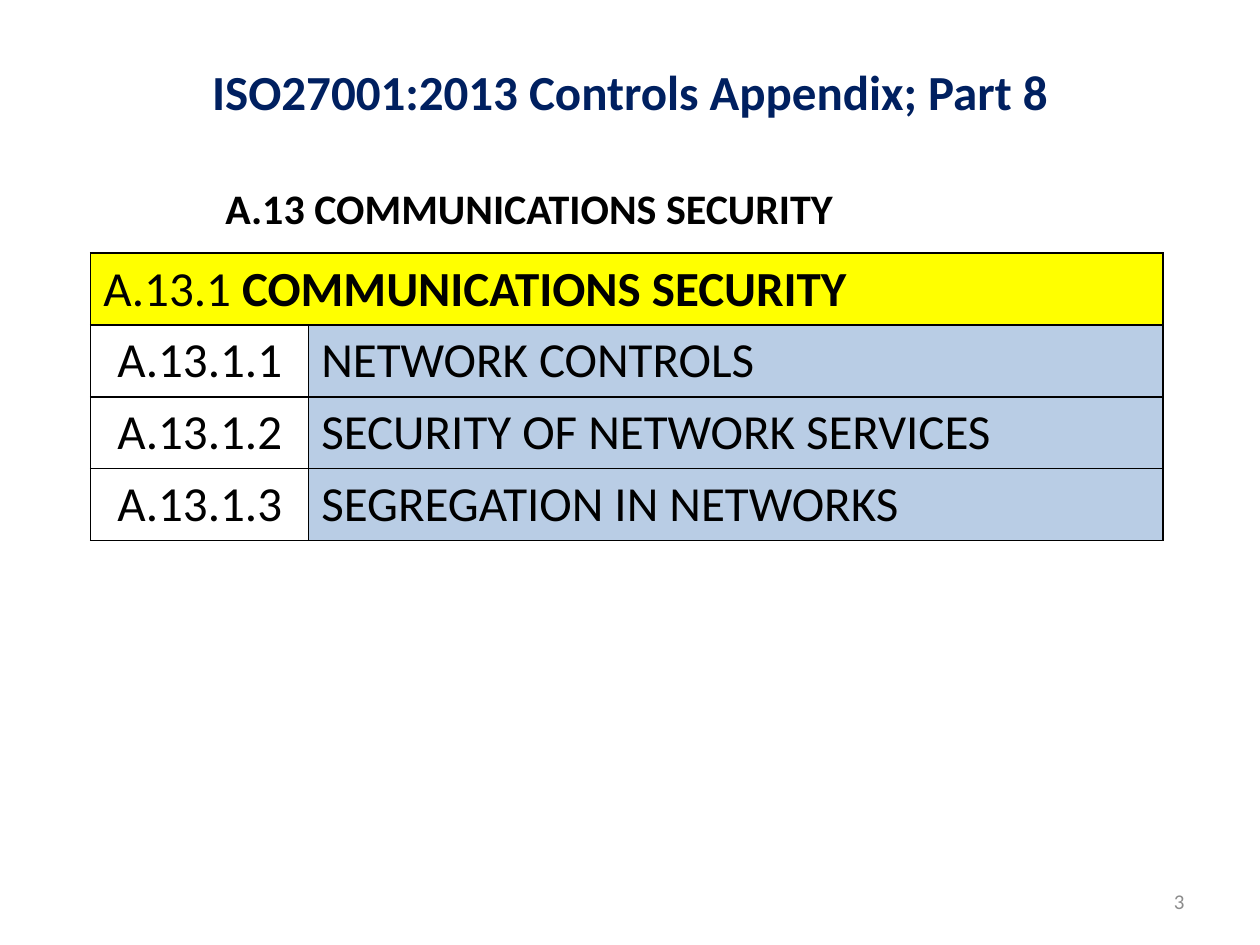
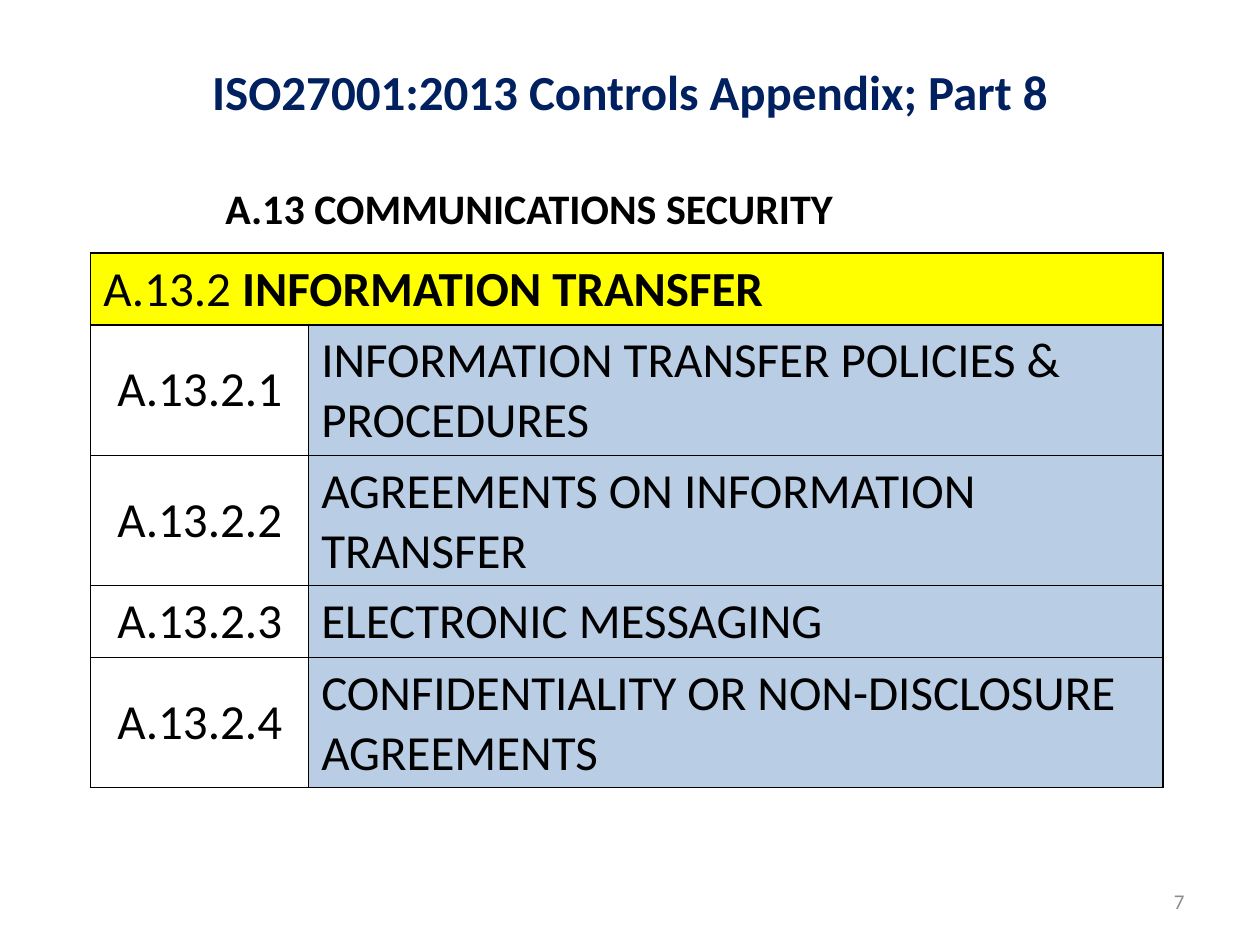
from dataclasses import dataclass
from typing import Optional

from lxml.etree import SubElement
from pptx import Presentation
from pptx.dml.color import RGBColor
from pptx.enum.text import MSO_ANCHOR as Anchor, MSO_AUTO_SIZE as AutoSize, PP_ALIGN as Align
from pptx.oxml.ns import qn
from pptx.util import Inches, Pt

COLORS = {
    "title": "002060",
    "text": "000000",
    "number": "8C8C8C",
    "section": "FFFF00",
    "control": "B9CDE5",
    "border": "000000",
}
FONT = "Calibri"
WIDTH, HEIGHT = Inches(10), Inches(7.5)
COLUMN, ROW = WIDTH // 100, HEIGHT // 75
TABLE_LEFT, TABLE_TOP = 7.2, 20.1
TABLE_COLUMNS = (17.3, 67.8)
CELL_PADDING, LINE_ROWS = 1.1, 4.6
BORDER_WIDTH = Pt(1)


@dataclass(frozen=True)
class Label:
    """Text style and place, in grid columns and rows."""
    left: float
    top: float
    width: float
    height: float
    size: int
    color: str
    bold: bool = False
    align: Align = Align.LEFT
    anchor: Anchor = Anchor.MIDDLE
    wrap: bool = True


@dataclass(frozen=True)
class Control:
    """One control name and the lines it fills."""
    name: str
    lines: int = 1


@dataclass(frozen=True)
class Section:
    """One slide's section of controls."""
    page_number: int
    code: str
    name: str
    controls: tuple[Control, ...]


TITLE = Label(5, 2.3, 90, 9.8, 28, "title", bold=True, align=Align.CENTER)
HEADING = Label(16.9, 14, 50.7, 5, 24, "text", bold=True, anchor=Anchor.TOP, wrap=False)
PAGE_NUMBER = Label(71.7, 69.5, 23.3, 4, 12, "number", align=Align.RIGHT)

SECTIONS = (
    Section(3, "A.13.1", "COMMUNICATIONS SECURITY", (
        Control("NETWORK CONTROLS"),
        Control("SECURITY OF NETWORK SERVICES"),
        Control("SEGREGATION IN NETWORKS"),
    )),
    Section(7, "A.13.2", "INFORMATION TRANSFER", (
        Control("INFORMATION TRANSFER POLICIES & PROCEDURES", 2),
        Control("AGREEMENTS ON INFORMATION TRANSFER", 2),
        Control("ELECTRONIC MESSAGING"),
        Control("CONFIDENTIALITY OR NON-DISCLOSURE AGREEMENTS", 2),
    )),
)


def columns(count: float) -> int:
    """Turn grid columns into a length."""
    return round(count * COLUMN)


def rows(count: float) -> int:
    """Turn grid rows into a length."""
    return round(count * ROW)


def style_font(font, size: int, color: str) -> None:
    """Set the shared typeface with a size and colour."""
    font.name, font.size = FONT, Pt(size)
    font.color.rgb = RGBColor.from_string(COLORS[color])


def add_label(page, label: Label, text: str) -> None:
    """Draw one line of text in its place."""
    box = page.shapes.add_textbox(columns(label.left), rows(label.top),
                                  columns(label.width), rows(label.height))
    frame = box.text_frame
    frame.word_wrap = label.wrap
    frame.auto_size = AutoSize.NONE if label.wrap else AutoSize.SHAPE_TO_FIT_TEXT
    frame.vertical_anchor = label.anchor
    para = frame.paragraphs[0]
    para.text, para.alignment = text, label.align
    style_font(para.font, label.size, label.color)
    para.font.bold = label.bold


def add_borders(cell) -> None:
    """Line all four sides of a cell."""
    properties = cell._tc.get_or_add_tcPr()
    for side in ("a:lnL", "a:lnR", "a:lnT", "a:lnB"):
        line = SubElement(properties, qn(side), w=str(BORDER_WIDTH))
        fill = SubElement(line, qn("a:solidFill"))
        SubElement(fill, qn("a:srgbClr"), val=COLORS["border"])


def style_cell(cell, fill: Optional[str] = None, align: Align = Align.LEFT,
               anchor: Anchor = Anchor.MIDDLE) -> None:
    """Set a cell's borders, fill and text style."""
    add_borders(cell)
    if fill:
        cell.fill.solid()
        cell.fill.fore_color.rgb = RGBColor.from_string(COLORS[fill])
    else:
        cell.fill.background()
    cell.vertical_anchor = anchor
    para = cell.text_frame.paragraphs[0]
    para.alignment = align
    style_font(para.font, 28, "text")


def add_controls(page, section: Section) -> None:
    """Draw the table of a section and its controls."""
    heights = [rows(CELL_PADDING + LINE_ROWS * lines)
               for lines in (1, *(control.lines for control in section.controls))]
    widths = [columns(width) for width in TABLE_COLUMNS]
    table = page.shapes.add_table(len(heights), len(widths), columns(TABLE_LEFT),
                                  rows(TABLE_TOP), sum(widths), sum(heights)).table
    table.first_row = table.horz_banding = False
    for column, width in zip(table.columns, widths):
        column.width = width
    for row, height in zip(table.rows, heights):
        row.height = height

    header = table.cell(0, 0)
    header.merge(table.cell(0, 1))
    para = header.text_frame.paragraphs[0]
    para.add_run().text = f"{section.code} "
    span = para.add_run()
    span.text, span.font.bold = section.name, True
    for cell in table.rows[0].cells:
        style_cell(cell, "section", anchor=Anchor.TOP)

    for index, control in enumerate(section.controls, start=1):
        code, name = table.rows[index].cells
        code.text, name.text = f"{section.code}.{index}", control.name
        style_cell(code, align=Align.CENTER)
        style_cell(name, "control")


def main() -> None:
    """Build and save the deck."""
    deck = Presentation()
    deck.slide_width, deck.slide_height = WIDTH, HEIGHT
    for section in SECTIONS:
        page = deck.slides.add_slide(deck.slide_layouts[6])
        add_label(page, PAGE_NUMBER, str(section.page_number))
        add_label(page, TITLE, "ISO27001:2013 Controls Appendix; Part 8")
        add_label(page, HEADING, "A.13 COMMUNICATIONS SECURITY")
        add_controls(page, section)
    deck.save("out.pptx")


if __name__ == "__main__":
    main()
